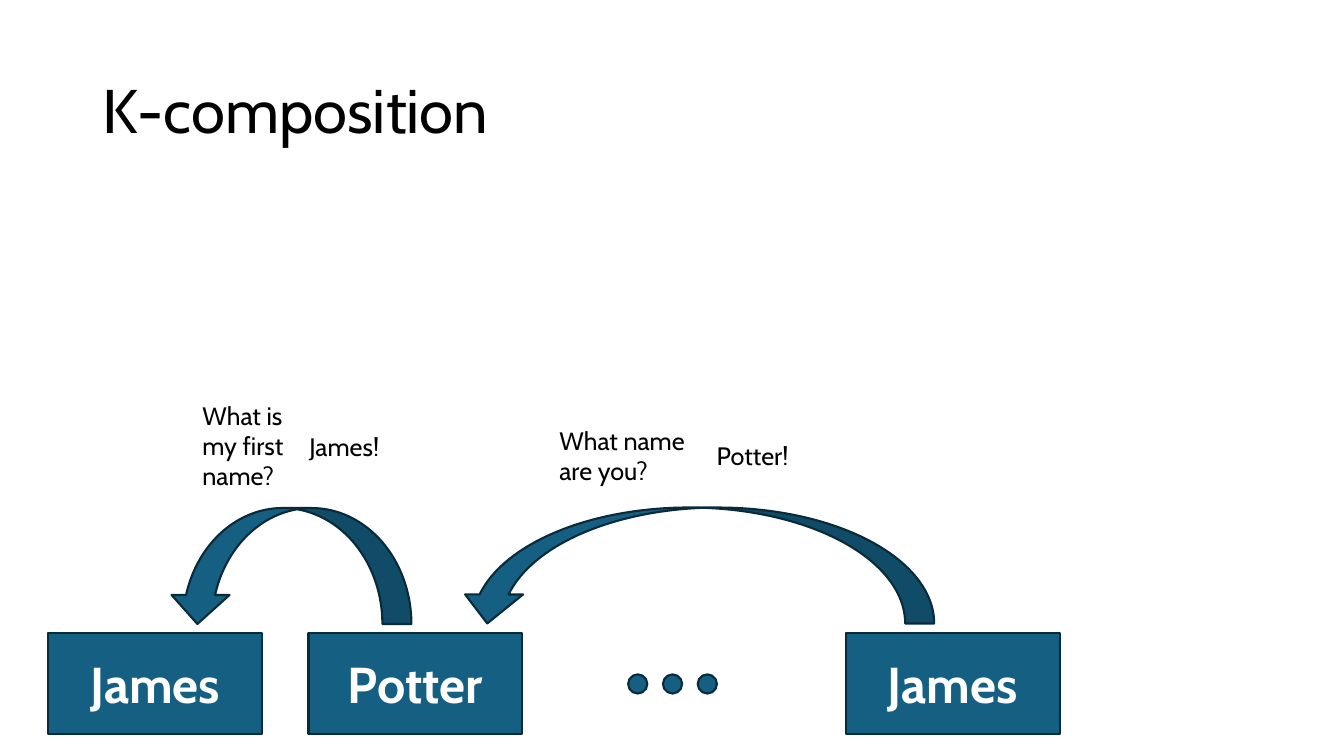
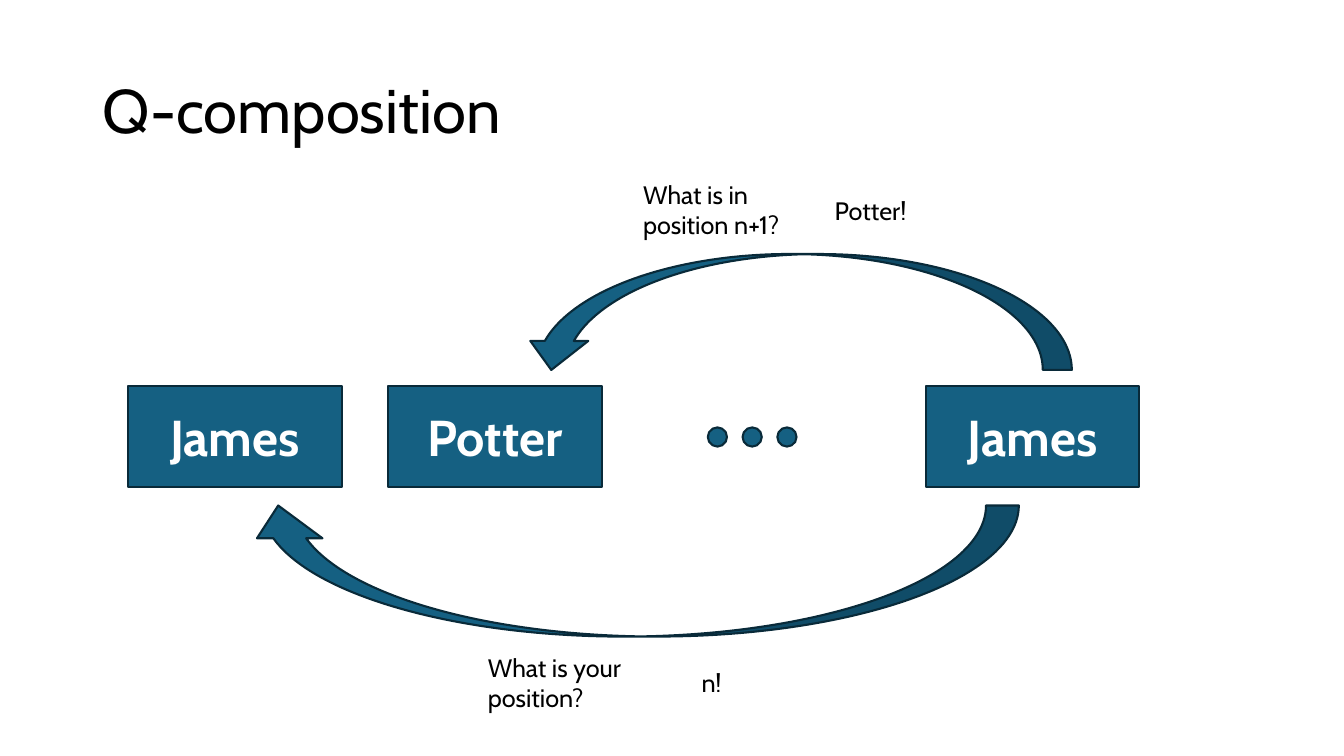
from dataclasses import dataclass
from typing import Any

from pptx import Presentation
from pptx.dml.color import RGBColor
from pptx.enum.shapes import MSO_SHAPE
from pptx.enum.text import MSO_ANCHOR, MSO_AUTO_SIZE, PP_ALIGN
from pptx.shapes.autoshape import Shape
from pptx.slide import Slide
from pptx.text.text import TextFrame
from pptx.util import Inches, Pt

BLUE = RGBColor(0x15, 0x60, 0x82)
NAVY = RGBColor(0x09, 0x2A, 0x39)
BLACK = RGBColor(0x00, 0x00, 0x00)
WHITE = RGBColor(0xFF, 0xFF, 0xFF)

TITLE_FONT = {"name": "Cabin", "size": Pt(44), "bold": False}
TOKEN_FONT = {"name": "Cabin", "size": Pt(36), "bold": True}
SPEECH_FONT = {"name": "Cabin", "size": Pt(18), "bold": False}

TITLE_PLACE = {"left": Inches(0.92), "top": Inches(0.4),
               "width": Inches(11.5), "height": Inches(1.45)}
TITLE_FRAME = {"vertical_anchor": MSO_ANCHOR.MIDDLE, "word_wrap": True,
               "auto_size": MSO_AUTO_SIZE.NONE}
TITLE_PARAGRAPH = {"alignment": PP_ALIGN.LEFT, "line_spacing": 0.9}
TOKEN_FRAME = {"vertical_anchor": MSO_ANCHOR.MIDDLE, "word_wrap": True}
TOKEN_PARAGRAPH = {"alignment": PP_ALIGN.CENTER}
SPEECH_FRAME = {"word_wrap": True, "auto_size": MSO_AUTO_SIZE.SHAPE_TO_FIT_TEXT}

TOKENS = ((0, "James"), (2.58, "Potter"), (7.91, "James"))
TOKEN_WIDTH, TOKEN_HEIGHT = 2.12, 1
DOT_COUNT, DOT_SIZE, DOT_STEP = 3, 0.19, 0.345
DOTS_LEFT, DOTS_TOP = 5.75, 0.41


@dataclass(frozen=True)
class Box:
    left: float
    top: float
    width: float
    height: float

    def lengths(self) -> tuple[int, ...]:
        return tuple(map(Inches, (self.left, self.top, self.width, self.height)))


@dataclass(frozen=True)
class Speech:
    text: str
    box: Box


@dataclass(frozen=True)
class Exchange:
    arrow: Box
    question: Speech
    answer: Speech
    below: bool = False


@dataclass(frozen=True)
class Composition:
    title: str
    row_left: float
    row_top: float
    exchanges: tuple[Exchange, ...]


COMPOSITIONS = (
    Composition("K-composition", 0.48, 6.28, (
        Exchange(Box(2.3, 4.41, 1.15, 2.41),
                 Speech("What is my first name?", Box(1.91, 3.92, 1.06, 1.01)),
                 Speech("James!", Box(2.97, 4.23, 1.06, 0.4))),
        Exchange(Box(6.33, 3.25, 1.15, 4.72),
                 Speech("What name are you?", Box(5.45, 4.17, 1.55, 0.71)),
                 Speech("Potter!", Box(7.01, 4.32, 1.06, 0.4))),
    )),
    Composition("Q-composition", 1.27, 3.83, (
        Exchange(Box(5.62, 1.83, 1.3, 7.67),
                 Speech("What is your position?", Box(4.74, 6.42, 1.73, 0.71)),
                 Speech("n!", Box(6.86, 6.57, 1.06, 0.4)), below=True),
        Exchange(Box(7.33, 0.37, 1.15, 5.45),
                 Speech("What is in position n+1?", Box(6.28, 1.73, 1.9, 0.71)),
                 Speech("Potter!", Box(8.18, 1.89, 1.06, 0.4))),
    )),
)


def apply_format(target: Any, values: dict[str, Any]) -> None:
    for attribute, value in values.items():
        setattr(target, attribute, value)


def write(frame: TextFrame, text: str, font: dict[str, Any], color: RGBColor,
          frame_format: dict[str, Any], paragraph_format: dict[str, Any]) -> None:
    apply_format(frame, frame_format)
    paragraph = frame.paragraphs[0]
    apply_format(paragraph, paragraph_format)
    run = paragraph.add_run()
    run.text = text
    apply_format(run.font, font)
    run.font.color.rgb = color


def add_blue_shape(slide: Slide, preset: MSO_SHAPE, box: Box) -> Shape:
    shape = slide.shapes.add_shape(preset, *box.lengths())
    shape.shadow.inherit = False
    shape.fill.solid()
    shape.fill.fore_color.rgb = BLUE
    shape.line.color.rgb = NAVY
    shape.line.width = Pt(1.5)
    return shape


def add_title(slide: Slide, text: str) -> None:
    title = slide.shapes.title
    apply_format(title, TITLE_PLACE)
    write(title.text_frame, text, TITLE_FONT, BLACK, TITLE_FRAME, TITLE_PARAGRAPH)


def add_token_row(slide: Slide, left: float, top: float) -> None:
    for offset, name in TOKENS:
        token = add_blue_shape(slide, MSO_SHAPE.RECTANGLE,
                               Box(left + offset, top, TOKEN_WIDTH, TOKEN_HEIGHT))
        write(token.text_frame, name, TOKEN_FONT, WHITE, TOKEN_FRAME, TOKEN_PARAGRAPH)
    for index in range(DOT_COUNT):
        dot_left = left + DOTS_LEFT + index * DOT_STEP
        add_blue_shape(slide, MSO_SHAPE.OVAL,
                       Box(dot_left, top + DOTS_TOP, DOT_SIZE, DOT_SIZE))


def add_speech(slide: Slide, speech: Speech) -> None:
    textbox = slide.shapes.add_textbox(*speech.box.lengths())
    write(textbox.text_frame, speech.text, SPEECH_FONT, BLACK, SPEECH_FRAME, {})


def add_exchange(slide: Slide, exchange: Exchange) -> None:
    arrow = add_blue_shape(slide, MSO_SHAPE.CURVED_RIGHT_ARROW, exchange.arrow)
    arrow.rotation = 90
    if exchange.below:
        arrow._element.spPr.get_or_add_xfrm().set("flipH", "1")
    add_speech(slide, exchange.question)
    add_speech(slide, exchange.answer)


def main() -> None:
    presentation = Presentation()
    presentation.slide_width = Inches(13.33)
    presentation.slide_height = Inches(7.5)
    title_only = presentation.slide_layouts.get_by_name("Title Only")
    for composition in COMPOSITIONS:
        slide = presentation.slides.add_slide(title_only)
        add_title(slide, composition.title)
        add_token_row(slide, composition.row_left, composition.row_top)
        for exchange in composition.exchanges:
            add_exchange(slide, exchange)
    presentation.save("out.pptx")


if __name__ == "__main__":
    main()
